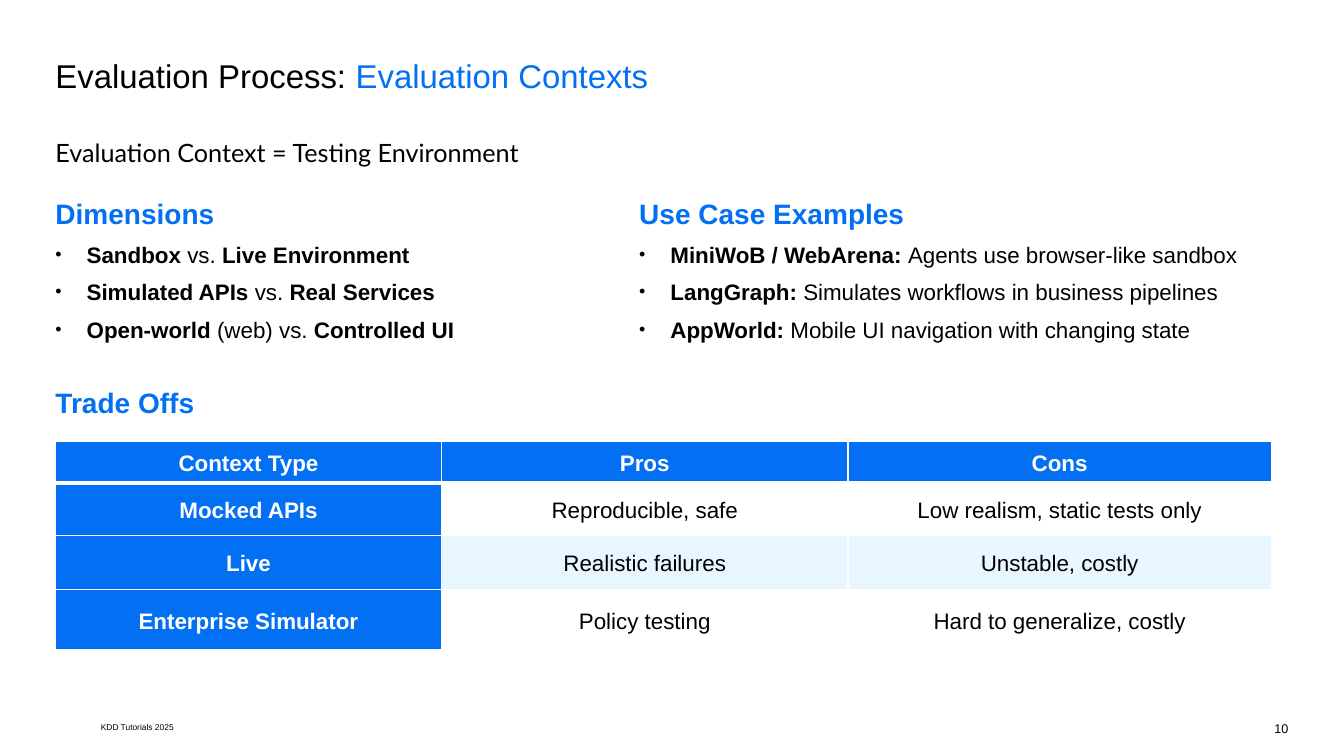
from lxml.etree import SubElement
from pptx import Presentation
from pptx.dml.color import RGBColor
from pptx.enum.text import MSO_ANCHOR as Anchor, PP_ALIGN as Align
from pptx.oxml.ns import qn
from pptx.util import Inches, Pt

BLUE = RGBColor(0x03, 0x70, 0xF3)
PALE = RGBColor(0xE7, 0xF6, 0xFF)
WHITE = RGBColor(0xFF, 0xFF, 0xFF)
BLACK = RGBColor(0, 0, 0)

TITLE = ["Evaluation Process: ", "Evaluation Contexts"]
SUBTITLE = "Evaluation Context = Testing Environment"
DIMENSIONS = ("Dimensions", [
    [("Sandbox ", True), ("vs. ", False), ("Live Environment", True)],
    [("Simulated APIs", True), (" vs. ", False), ("Real Services", True)],
    [("Open-world", True), (" (web) vs. ", False), ("Controlled UI", True)],
])
USE_CASES = ("Use Case Examples", [
    [("MiniWoB / WebArena: ", True), ("Agents use browser-like sandbox", False)],
    [("LangGraph: ", True), ("Simulates workflows in business pipelines", False)],
    [("AppWorld:", True), (" Mobile UI navigation with changing state", False)],
])
TRADE_OFFS = ("Trade Offs", [])
CONTEXTS = [
    ("Context Type", "Pros", "Cons"),
    ("Mocked APIs", "Reproducible, safe", "Low realism, static tests only"),
    ("Live", "Realistic failures", "Unstable, costly"),
    ("Enterprise Simulator", "Policy testing", "Hard to generalize, costly"),
]
FOOTER = "KDD Tutorials 2025"
PAGE = "10"

WIDTH, HEIGHT = 13.33, 7.5
MARGIN = 0.55
CONTENT = WIDTH - 2 * MARGIN
HALF = 6.34
SECTION_TOP = 0.26 * HEIGHT
COLUMNS = [3.83, 4.03, 4.2]
ROWS = [0.41, 0.52, 0.54, 0.6]

HEADING = {"size": Pt(20), "bold": True, "color": BLUE}
BODY = {"size": Pt(16), "color": BLACK}


def add_run(paragraph, text, color, **values):
    font = paragraph.add_run()
    font.text = text
    font = font.font
    for name, value in ({"name": "Arial", "bold": False} | values).items():
        setattr(font, name, value)
    font.color.rgb = color


def add_box(left, top, width, height, **values):
    frame = slide.shapes.add_textbox(*map(Inches, (left, top, width, height))).text_frame
    margins = {f"margin_{side}": 0 for side in ("left", "top", "right", "bottom")}
    for name, value in ({"word_wrap": True} | margins | values).items():
        setattr(frame, name, value)
    return frame


def add_bullet(paragraph):
    properties = paragraph._p.get_or_add_pPr()
    properties.set("marL", str(Inches(0.31)))
    properties.set("indent", str(-Inches(0.31)))
    SubElement(properties, qn("a:buSzPct"), val="80000")
    SubElement(properties, qn("a:buFont"), typeface="Arial")
    SubElement(properties, qn("a:buChar"), char="•")


def add_section(section, left, top, width, height):
    heading, points = section
    frame = add_box(left, top, width, height)
    add_run(frame.paragraphs[0], heading, **HEADING)
    for point in points:
        paragraph = frame.add_paragraph()
        paragraph.space_before = Pt(7.6)
        add_bullet(paragraph)
        for text, bold in point:
            add_run(paragraph, text, bold=bold, **BODY)


def set_borders(cell, bottom):
    properties = cell._tc.get_or_add_tcPr()
    for position, (side, points) in enumerate(zip("LRTB", (1, 1, 1, bottom))):
        line = SubElement(properties, qn(f"a:ln{side}"), w=str(Pt(points)))
        fill = SubElement(line, qn("a:solidFill"))
        SubElement(fill, qn("a:srgbClr"), val=str(WHITE))
        properties.insert(position, line)


def fill_cell(cell, text, row, column):
    label = row == 0 or column == 0
    cell.fill.solid()
    cell.fill.fore_color.rgb = BLUE if label else (WHITE if row % 2 else PALE)
    cell.vertical_anchor = Anchor.MIDDLE
    for side in ("left", "top", "right", "bottom"):
        setattr(cell, f"margin_{side}", Inches(0.01))
    paragraph = cell.text_frame.paragraphs[0]
    paragraph.alignment = Align.CENTER
    paragraph.line_spacing = 1.15
    add_run(paragraph, text, WHITE if label else BLACK, size=Pt(16), bold=label)
    set_borders(cell, 1 if row else 3)


def add_contexts(left, top):
    table = slide.shapes.add_table(
        len(ROWS), len(COLUMNS),
        *map(Inches, (left, top, sum(COLUMNS), sum(ROWS)))).table
    for column, width in zip(table.columns, COLUMNS):
        column.width = Inches(width)
    for row, height in zip(table.rows, ROWS):
        row.height = Inches(height)
    for row, texts in enumerate(CONTEXTS):
        for column, text in enumerate(texts):
            fill_cell(table.cell(row, column), text, row, column)


presentation = Presentation()
presentation.slide_width = Inches(WIDTH)
presentation.slide_height = Inches(HEIGHT)
slide = presentation.slides.add_slide(presentation.slide_layouts[6])

title = add_box(MARGIN, MARGIN, CONTENT, 0.4).paragraphs[0]
for text, color in zip(TITLE, (BLACK, BLUE)):
    add_run(title, text, color, size=Pt(23.5))

subtitle = add_box(MARGIN, 1.36, HALF - MARGIN, 0.3).paragraphs[0]
add_run(subtitle, SUBTITLE, BLACK, size=Pt(18), name="Lato")

add_section(DIMENSIONS, MARGIN, SECTION_TOP, 5.39, 1.6)
add_section(USE_CASES, HALF, SECTION_TOP, WIDTH - MARGIN - HALF, 1.6)
add_section(TRADE_OFFS, MARGIN, 0.51 * HEIGHT, 5.39, 0.35)
add_contexts(MARGIN, 4.38)

footer = add_box(1, 7.09, 0.92, 0.25, vertical_anchor=Anchor.MIDDLE).paragraphs[0]
add_run(footer, FOOTER, BLACK, size=Pt(6))
page = add_box(WIDTH - MARGIN - 0.16, 7.15, 0.16, 0.15, word_wrap=False).paragraphs[0]
page.alignment = Align.RIGHT
add_run(page, PAGE, BLACK, size=Pt(9))

presentation.save("out.pptx")
